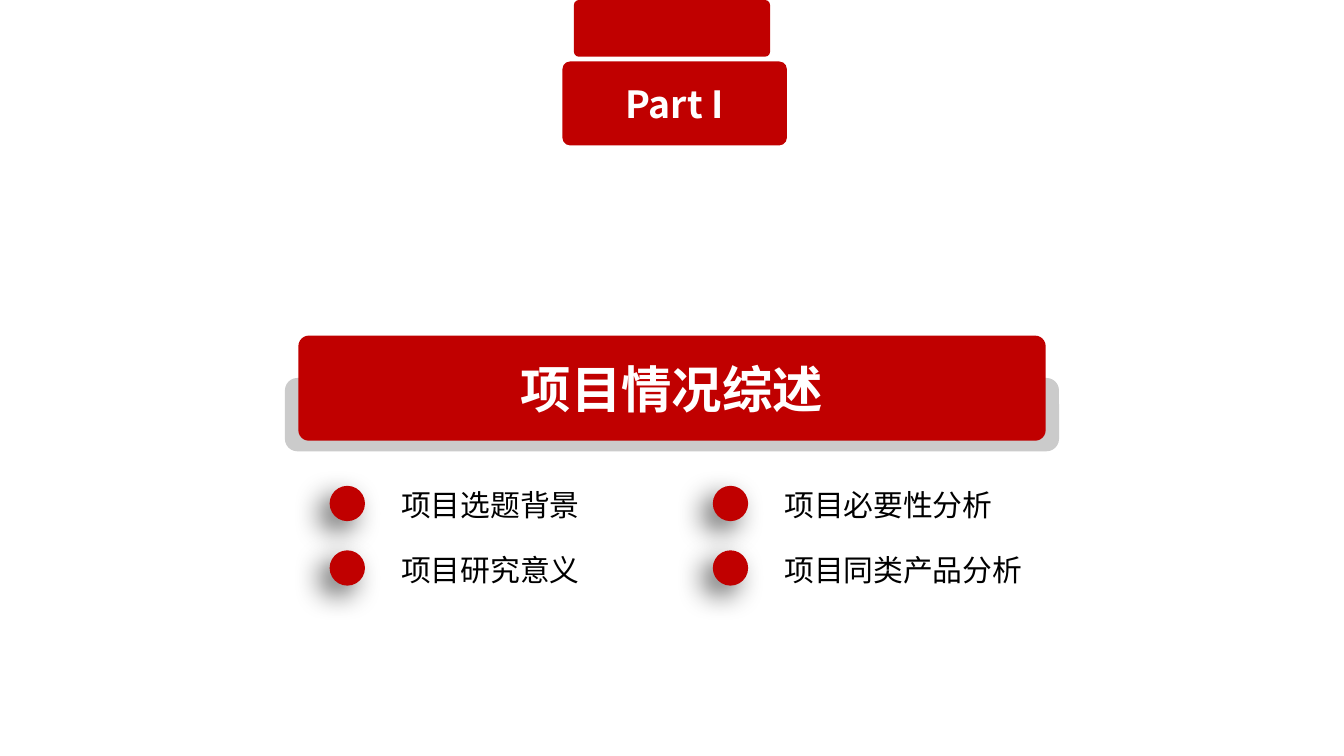
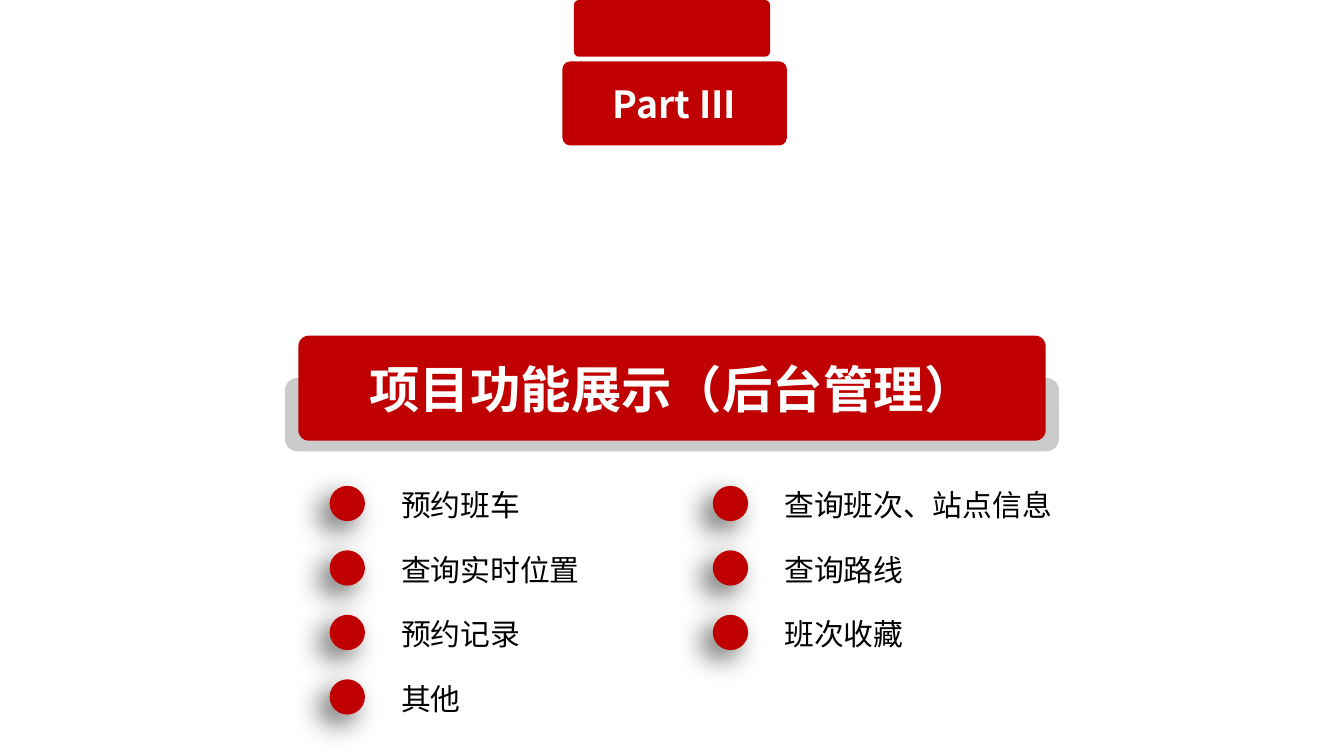
from dataclasses import dataclass

from lxml import etree
from pptx import Presentation
from pptx.dml.color import RGBColor
from pptx.enum.shapes import MSO_SHAPE
from pptx.enum.text import MSO_ANCHOR, MSO_AUTO_SIZE, PP_ALIGN
from pptx.oxml.ns import qn
from pptx.util import Inches, Pt

ROUNDED = MSO_SHAPE.ROUNDED_RECTANGLE
CIRCLE = MSO_SHAPE.OVAL
MIDDLE = MSO_ANCHOR.MIDDLE
CENTER = PP_ALIGN.CENTER
GROW = MSO_AUTO_SIZE.SHAPE_TO_FIT_TEXT

SLIDE_WIDTH = Inches(13.33)
SLIDE_HEIGHT = Inches(7.5)


@dataclass(frozen=True)
class Theme:
    font: str = "Noto Sans CJK SC"
    red: str = "C00000"
    grey: str = "CBCBCB"
    white: str = "FFFFFF"
    black: str = "000000"
    title_size: float = 36
    badge_size: float = 26.7
    item_size: float = 21.3


THEME = Theme()

# Topic grid, in percent of the slide's width (columns) and height (rows)
TOPIC_COLUMNS = (24.53, 53.04)
FIRST_ROW = 64.27
ROW_PITCH = 8.53
DOT_DIAMETER = 2.63
TEXT_INDENT = 4.58
TEXT_RISE = 0.53
TEXT_WIDTH = 28.35
TEXT_HEIGHT = 6.13

SECTIONS = (
    ("Part I", "项目情况综述",
     ("项目选题背景", "项目必要性分析", "项目研究意义", "项目同类产品分析")),
    ("Part III", "项目功能展示（后台管理）",
     ("预约班车", "查询班次、站点信息", "查询实时位置", "查询路线",
      "预约记录", "班次收藏", "其他")),
)


def across(percent):
    return round(SLIDE_WIDTH * percent / 100)


def down(percent):
    return round(SLIDE_HEIGHT * percent / 100)


def write(shape, text, size, color, bold=False):
    paragraph = shape.text_frame.paragraphs[0]
    paragraph.text = text
    for run in paragraph.runs:
        run.font.name = THEME.font
        run.font.size = Pt(size)
        run.font.bold = bold
        run.font.color.rgb = RGBColor.from_string(color)
        east_asian = etree.SubElement(run.font._element, qn("a:ea"))
        east_asian.set("typeface", THEME.font)
    return paragraph


def add_filled(slide, preset, left, top, width, height, color):
    shape = slide.shapes.add_shape(preset, left, top, width, height)
    shape.fill.solid()
    shape.fill.fore_color.rgb = RGBColor.from_string(color)
    shape.line.fill.background()
    shape.shadow.inherit = False
    return shape


def add_bar(slide, top, width, height, color, rounding, center=50):
    """Rounded bar placed by its horizontal centre."""
    bar = add_filled(slide, ROUNDED, across(center - width / 2), down(top),
                     across(width), down(height), color)
    bar.adjustments[0] = rounding
    return bar


def label_bar(bar, text, size):
    bar.text_frame.vertical_anchor = MIDDLE
    write(bar, text, size, THEME.white, bold=True).alignment = CENTER


def add_soft_shadow(shape):
    effects = shape._element.spPr.find(qn("a:effectLst"))
    shadow = etree.SubElement(effects, qn("a:outerShdw"), {
        "blurRad": str(Pt(20)), "dist": str(Pt(10)),
        "dir": str(135 * 60000), "algn": "tr", "rotWithShape": "0"})
    color = etree.SubElement(shadow, qn("a:srgbClr"), val=THEME.black)
    etree.SubElement(color, qn("a:alpha"), val="60000")


def add_topic(slide, column, row, text):
    diameter = across(DOT_DIAMETER)
    dot = add_filled(slide, CIRCLE, across(column), down(row),
                     diameter, diameter, THEME.red)
    add_soft_shadow(dot)
    box = slide.shapes.add_textbox(
        across(column + TEXT_INDENT), down(row - TEXT_RISE),
        across(TEXT_WIDTH), down(TEXT_HEIGHT))
    box.text_frame.word_wrap = True
    box.text_frame.auto_size = GROW
    write(box, text, THEME.item_size, THEME.black)


def add_section(presentation, part, title, topics):
    slide = presentation.slides.add_slide(presentation.slide_layouts[6])

    # Title band over its grey base
    add_bar(slide, 50, 57.6, 9.7, THEME.grey, 0.17)
    title_bar = add_bar(slide, 44.4, 55.6, 13.9, THEME.red, 0.1)
    label_bar(title_bar, title, THEME.title_size)

    # Tab at the top edge and part badge
    add_bar(slide, 0, 14.6, 7.5, THEME.red, 0.09)
    badge = add_bar(slide, 8.13, 16.7, 11.1, THEME.red, 0.09, center=50.2)
    label_bar(badge, part, THEME.badge_size)

    # Topics fill the grid row by row
    for index, topic in enumerate(topics):
        row, column = divmod(index, len(TOPIC_COLUMNS))
        add_topic(slide, TOPIC_COLUMNS[column], FIRST_ROW + row * ROW_PITCH, topic)


def main():
    presentation = Presentation()
    presentation.slide_width = SLIDE_WIDTH
    presentation.slide_height = SLIDE_HEIGHT
    for section in SECTIONS:
        add_section(presentation, *section)
    presentation.save("out.pptx")


if __name__ == "__main__":
    main()
